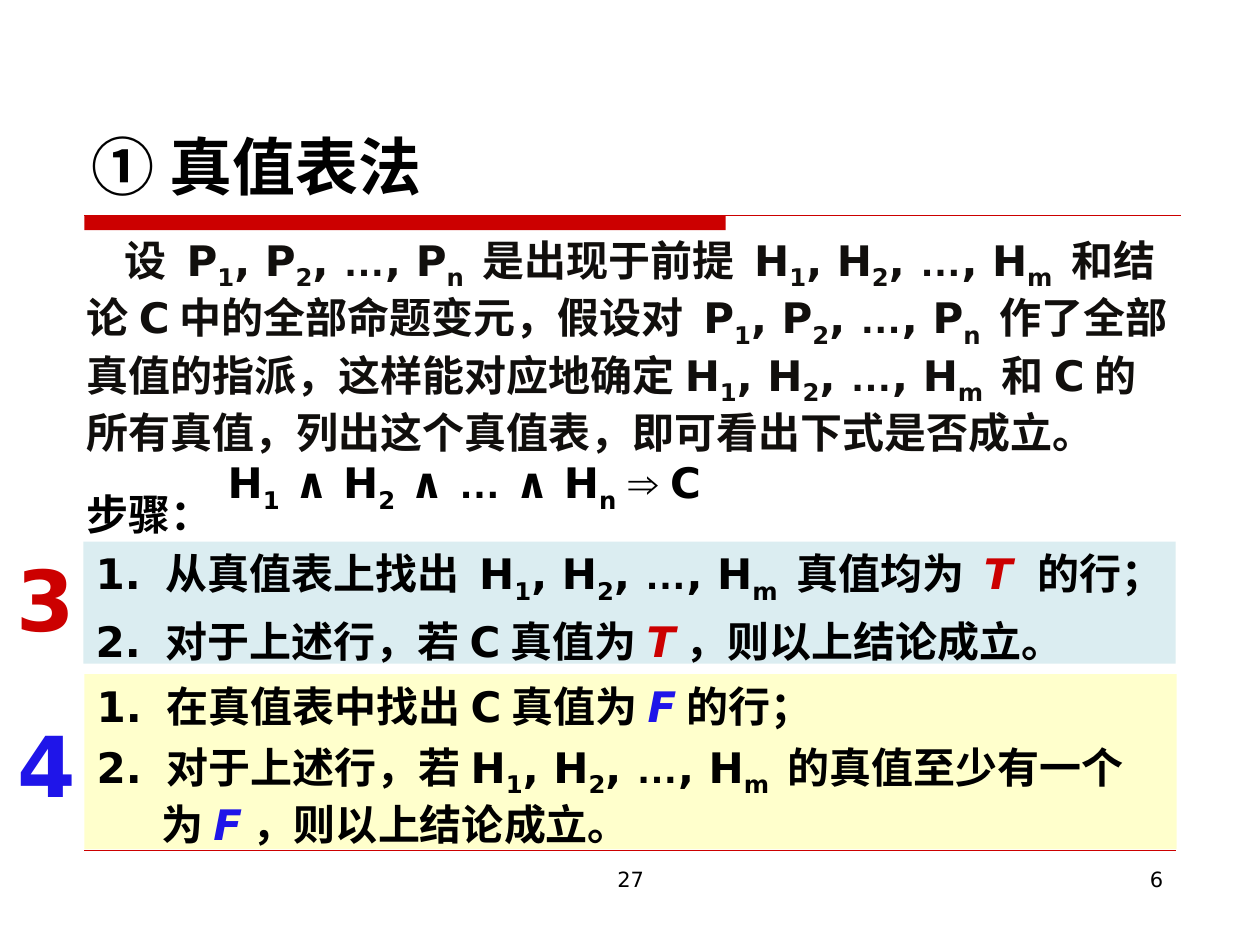
from lxml import etree
from pptx import Presentation
from pptx.dml.color import RGBColor
from pptx.enum.shapes import MSO_CONNECTOR, MSO_SHAPE
from pptx.enum.text import MSO_ANCHOR, PP_ALIGN
from pptx.oxml.ns import qn
from pptx.util import Cm, Pt

LEFT, CENTER, RIGHT = PP_ALIGN.LEFT, PP_ALIGN.CENTER, PP_ALIGN.RIGHT
TOP, BOTTOM = MSO_ANCHOR.TOP, MSO_ANCHOR.BOTTOM
RECTANGLE = MSO_SHAPE.RECTANGLE
STRAIGHT = MSO_CONNECTOR.STRAIGHT

BLACK = RGBColor(0x00, 0x00, 0x00)
INK = RGBColor(0x11, 0x0F, 0x0D)
RED = RGBColor(0xCC, 0x00, 0x00)
BLUE = RGBColor(0x1F, 0x15, 0xE9)
PALE_BLUE = RGBColor(0xDB, 0xED, 0xF1)
PALE_YELLOW = RGBColor(0xFF, 0xFF, 0xCC)

LATIN_FONT = "DejaVu Sans"
SYMBOL_FONT = "Arial"
CHINESE_FONT = "Noto Sans CJK SC"


def sequence(letter, last):
    """Markup for an indexed list such as P1, P2, …, Pn."""
    return f"{letter}|_1|, {letter}|_2|, |~…|, {letter}|_{last} |"


def write_runs(paragraph, markup, size, color, bold=True, accent=RED):
    """Split markup at |; a run starting with _ is subscript, ~ symbol, * accent."""
    for piece in filter(None, markup.split("|")):
        mark = piece[0] if piece[0] in "_~*" else ""
        run = paragraph.add_run()
        run.text = piece[len(mark):]
        font = run.font
        font.size = Pt(size)
        font.bold = bold
        font.italic = mark == "*"
        font.color.rgb = accent if mark == "*" else color
        font.name = SYMBOL_FONT if mark == "~" else LATIN_FONT
        properties = run._r.get_or_add_rPr()
        etree.SubElement(properties, qn("a:ea"), typeface=CHINESE_FONT)
        if mark == "_":
            properties.set("baseline", "-25000")


def set_indent(paragraph, margin, first_line):
    properties = paragraph._p.get_or_add_pPr()
    properties.set("marL", str(Cm(margin)))
    properties.set("indent", str(Cm(first_line)))


def add_text(slide, box, markup, size, color=BLACK, bold=True,
             align=LEFT, anchor=TOP, wrap=True):
    shape = slide.shapes.add_textbox(*map(Cm, box))
    text_frame = shape.text_frame
    text_frame.word_wrap = wrap
    text_frame.vertical_anchor = anchor
    paragraph = text_frame.paragraphs[0]
    paragraph.alignment = align
    write_runs(paragraph, markup, size, color, bold)
    return text_frame


def add_rectangle(slide, box, color):
    shape = slide.shapes.add_shape(RECTANGLE, *map(Cm, box))
    shape.shadow.inherit = False
    shape.fill.solid()
    shape.fill.fore_color.rgb = color
    shape.line.fill.background()
    return shape


def add_rule(slide, left, top, width, weight):
    rule = slide.shapes.add_connector(
        STRAIGHT, Cm(left), Cm(top), Cm(left + width), Cm(top))
    rule.line.color.rgb = RED
    rule.line.width = Pt(weight)
    etree.SubElement(rule._element.spPr, qn("a:effectLst"))


def add_title(slide, box, title):
    left, top, width, height = box
    add_text(slide, box, title, 36, anchor=BOTTOM)
    rule_left, rule_top = left + 0.1, top + height + 0.12
    add_rectangle(slide, (rule_left, rule_top, 12.93, 0.3), RED)
    add_rule(slide, rule_left, rule_top, 22.1, 0.75)


def add_body(slide, box):
    left, top, width, height = box
    text_frame = add_text(
        slide, box,
        "设 " + sequence("P", "n") + "是出现于前提 " + sequence("H", "m")
        + "和结论C中的全部命题变元，假设对 " + sequence("P", "n")
        + "作了全部真值的指派，这样能对应地确定" + sequence("H", "m")
        + "和C的所有真值，列出这个真值表，即可看出下式是否成立。",
        24, INK)
    set_indent(text_frame.paragraphs[0], 0, 0.77)
    formula = text_frame.add_paragraph()
    set_indent(formula, 2.84, 0)
    write_runs(formula, "H|_1| ∧ H|_2| ∧ |~…| ∧ H|_n|~ ⇒ |C", 24, BLACK)
    add_text(slide, (left, top + 5.13, width, 1.27), "步骤：", 24)


def add_steps(slide, box, fill, number, number_top, accent, steps):
    left, top, width, height = box
    text_frame = add_rectangle(slide, box, fill).text_frame
    text_frame.word_wrap = True
    text_frame.vertical_anchor = TOP
    for index, step in enumerate(steps):
        paragraph = text_frame.add_paragraph() if index else text_frame.paragraphs[0]
        paragraph.alignment = LEFT
        paragraph.space_before = Pt(6 if index else 0)
        set_indent(paragraph, 1.3, -1.3)
        write_runs(paragraph, f"{index + 1}. {step}", 24, BLACK, accent=accent)
    add_text(slide, (left - 1.6, top + number_top, 1.47, 2.29), number, 48,
             accent, wrap=False)


def add_footer(slide, box):
    left, top, width, height = box
    add_rule(slide, left, top, width, 0.25)
    text_top = top + 0.21
    add_text(slide, (left + 6.99, text_top, 8.05, height), "27", 12,
             bold=False, align=CENTER)
    add_text(slide, (left + width - 5.51, text_top, 5.51, height), "6", 12,
             bold=False, align=RIGHT)


def main():
    presentation = Presentation()
    presentation.slide_width = Cm(25.4)
    presentation.slide_height = Cm(19.05)
    slide = presentation.slides.add_slide(presentation.slide_layouts[6])

    add_title(slide, (1.6, 0.84, 22.22, 3.38), "① 真值表法")
    add_footer(slide, (1.7, 17.14, 22, 1.32))
    add_body(slide, (1.5, 4.6, 22.4, 5.89))
    add_steps(slide, (1.68, 10.92, 22.02, 2.46), PALE_BLUE, "3", 0, RED, [
        "从真值表上找出 " + sequence("H", "m") + "真值均为 |*T |的行；",
        "对于上述行，若C真值为|*T|，则以上结论成立。",
    ])
    add_steps(slide, (1.7, 13.59, 22.02, 3.53), PALE_YELLOW, "4", 0.66, BLUE, [
        "在真值表中找出C真值为|*F|的行；",
        "对于上述行，若" + sequence("H", "m")
        + "的真值至少有一个为|*F|，则以上结论成立。",
    ])
    presentation.save("out.pptx")


if __name__ == "__main__":
    main()
